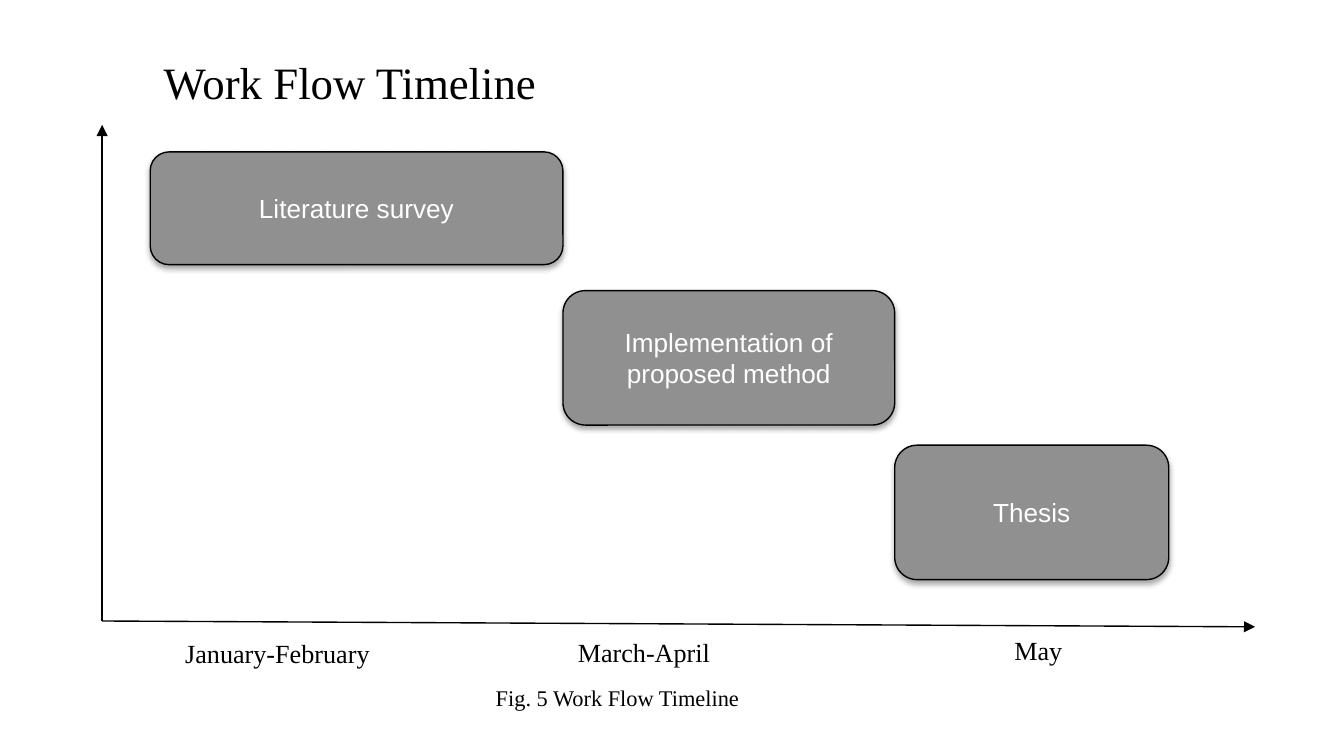
from dataclasses import dataclass

from pptx import Presentation
from pptx.dml.color import RGBColor
from pptx.enum.shapes import MSO_CONNECTOR, MSO_SHAPE
from pptx.enum.text import MSO_ANCHOR, MSO_AUTO_SIZE, PP_ALIGN
from pptx.oxml import parse_xml
from pptx.oxml.ns import nsdecls, qn
from pptx.util import Cm, Pt

ROUNDED = MSO_SHAPE.ROUNDED_RECTANGLE
STRAIGHT = MSO_CONNECTOR.STRAIGHT
TOP, MIDDLE = MSO_ANCHOR.TOP, MSO_ANCHOR.MIDDLE
LEFT, CENTER = PP_ALIGN.LEFT, PP_ALIGN.CENTER
NO_FIT, GROW = MSO_AUTO_SIZE.NONE, MSO_AUTO_SIZE.SHAPE_TO_FIT_TEXT


@dataclass(frozen=True)
class Theme:
    ink: RGBColor = RGBColor(0, 0, 0)
    bar: RGBColor = RGBColor(0x90, 0x90, 0x90)
    bar_text: RGBColor = RGBColor(255, 255, 255)
    serif: str = "Times New Roman"
    sans: str = "Arial"
    title_size: int = 24
    body_size: int = 14
    caption_size: int = 12
    line_width: float = 0.75


THEME = Theme()


@dataclass(frozen=True)
class Stage:
    """A timeline bar; lengths in centimetres."""
    name: str
    top: float
    width: float
    height: float


@dataclass(frozen=True)
class Label:
    """A piece of free text; lengths in centimetres."""
    text: str
    left: float
    top: float
    width: float
    height: float = 0.86
    size: int = THEME.body_size
    wrap: bool = False


BARS_LEFT = 2.84
STAGES = (
    Stage("Literature survey", 2.87, 7.8, 2.13),
    Stage("Implementation of proposed method", 5.49, 6.27, 2.54),
    Stage("Thesis", 8.41, 5.18, 2.54),
)
TITLE = Label("Work Flow Timeline", BARS_LEFT, 0.91, 7.72, 1.27, THEME.title_size)
LABELS = (
    Label("January-February", 3.25, 11.91, 4.04),
    Label("March-April", 10.67, 11.89, 3.02),
    Label("May", 18.92, 11.86, 1.42),
    Label("Fig. 5 Work Flow Timeline", 9.12, 12.8, 6.12, 0.76,
          THEME.caption_size, wrap=True),
)
ORIGIN = (1.93, 11.73)
AXIS_ENDS = ((1.93, 2.36), (23.72, 11.84))


def write_text(box, text: str, *, size: int = THEME.body_size,
               font: str = THEME.serif, color: RGBColor = THEME.ink,
               align=LEFT, anchor=TOP, wrap: bool = True, fit=GROW) -> None:
    frame = box.text_frame
    frame.word_wrap = wrap
    frame.auto_size = fit
    frame.vertical_anchor = anchor
    para = frame.paragraphs[0]
    para.alignment = align
    span = para.add_run()
    span.text = text
    span.font.name = font
    span.font.size = Pt(size)
    span.font.color.rgb = color


def format_line(line) -> None:
    line.color.rgb = THEME.ink
    line.width = Pt(THEME.line_width)


def add_stage(page, stage: Stage, left: float) -> None:
    box = page.shapes.add_shape(ROUNDED, Cm(left), Cm(stage.top),
                                Cm(stage.width), Cm(stage.height))
    box.fill.solid()
    box.fill.fore_color.rgb = THEME.bar
    format_line(box.line)
    # Soft shadow falling straight down
    box.shadow.inherit = False
    effects = box.element.spPr.find(qn("a:effectLst"))
    effects.append(parse_xml(
        f'<a:outerShdw {nsdecls("a")} blurRad="{Pt(3.1)}" dist="{Pt(1.8)}" '
        f'dir="5400000" rotWithShape="0"><a:srgbClr val="{THEME.ink}">'
        '<a:alpha val="35000"/></a:srgbClr></a:outerShdw>'))
    write_text(box, stage.name, font=THEME.sans, color=THEME.bar_text,
               align=CENTER, anchor=MIDDLE, fit=NO_FIT)


def add_axis(page, start: tuple[float, float], end: tuple[float, float]) -> None:
    axis = page.shapes.add_connector(STRAIGHT, *map(Cm, start + end))
    format_line(axis.line)
    properties = axis.element.spPr
    properties.find(qn("a:ln")).append(
        parse_xml(f'<a:tailEnd {nsdecls("a")} type="triangle"/>'))
    properties.append(parse_xml(f'<a:effectLst {nsdecls("a")}/>'))


def place_label(box, label: Label) -> None:
    box.left, box.top = Cm(label.left), Cm(label.top)
    box.width, box.height = Cm(label.width), Cm(label.height)
    write_text(box, label.text, size=label.size, wrap=label.wrap)


def main() -> None:
    deck = Presentation()
    deck.slide_width, deck.slide_height = Cm(25.4), Cm(14.28)
    page = deck.slides.add_slide(deck.slide_layouts[5])

    # Title
    place_label(page.shapes.title, TITLE)

    # Bars: each begins where the one before it ends
    left = BARS_LEFT
    for stage in STAGES:
        add_stage(page, stage, left)
        left += stage.width

    # Axes
    for end in AXIS_ENDS:
        add_axis(page, ORIGIN, end)

    # Months and caption
    for label in LABELS:
        place_label(page.shapes.add_textbox(0, 0, 0, 0), label)

    deck.save("out.pptx")


if __name__ == "__main__":
    main()
